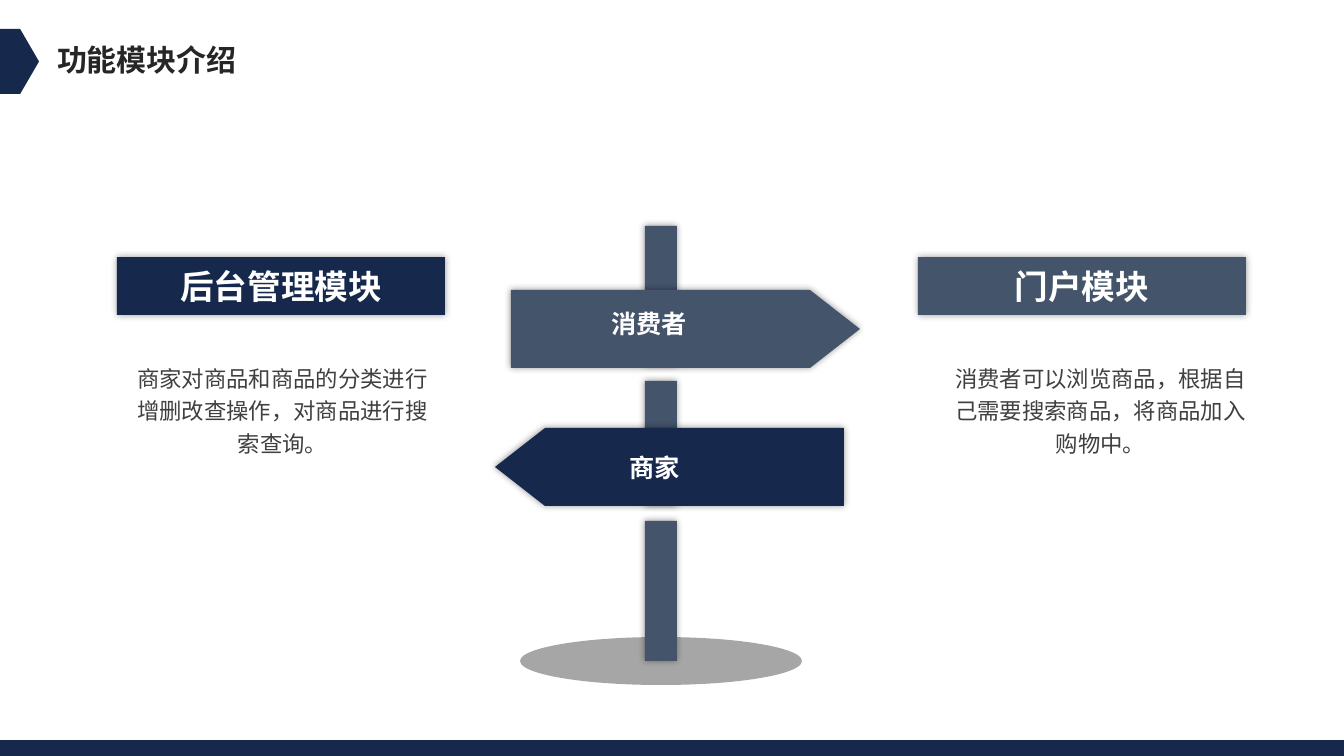
from lxml import etree
from pptx import Presentation
from pptx.dml.color import RGBColor
from pptx.enum import shapes, text
from pptx.oxml import ns
from pptx.util import Pt

PX = 9071  # EMU in one px, 100.8 px to the inch
FONT = "Noto Sans CJK SC"
NAVY, SLATE, WHITE = "16294C", "44546A", "FFFFFF"
RECT = shapes.MSO_SHAPE.RECTANGLE


def paint(shape, color, shadow=False):
    """Fill a shape without outline, optionally with a soft dark halo."""
    shape.fill.solid()
    shape.fill.fore_color.rgb = RGBColor.from_string(color)
    shape.line.fill.background()
    shape.shadow.inherit = False
    if shadow:
        effects = shape._element.spPr.find(ns.qn("a:effectLst"))
        halo = etree.SubElement(effects, ns.qn("a:outerShdw"),
                                blurRad=str(Pt(5)), dist="0", dir="0",
                                algn="ctr", rotWithShape="0")
        tint = etree.SubElement(halo, ns.qn("a:srgbClr"), val="000000")
        etree.SubElement(tint, ns.qn("a:alpha"), val="40000")


def write(shape, words, size, color, bold=True, align=text.PP_ALIGN.CENTER):
    """Set a shape's text as one formatted paragraph and return it."""
    frame = shape.text_frame
    frame.word_wrap = True
    frame.text = words
    para = frame.paragraphs[0]
    para.alignment = align
    span = para.runs[0]
    span.font.size = Pt(size)
    span.font.bold = bold
    span.font.color.rgb = RGBColor.from_string(color)
    span.font.name = FONT
    etree.SubElement(span._r.get_or_add_rPr(), ns.qn("a:ea"), typeface=FONT)
    return para


deck = Presentation()
deck.slide_width, deck.slide_height = 1344 * PX, 756 * PX
page = deck.slides.add_slide(deck.slide_layouts[5])

# Heading and page edges
title = page.shapes.title
title.left, title.top, title.width, title.height = (n * PX for n in (47, 36, 202, 46))
write(title, "功能模块介绍", 21.4, "262626", align=text.PP_ALIGN.LEFT)
title.text_frame.word_wrap = False
title.text_frame.auto_size = text.MSO_AUTO_SIZE.NONE
title.text_frame.vertical_anchor = text.MSO_ANCHOR.TOP

marker = page.shapes.add_shape(shapes.MSO_SHAPE.PENTAGON, 0, 29 * PX, 39 * PX, 65 * PX)
marker.adjustments[0] = 0.484
paint(marker, NAVY)
footer = page.shapes.add_shape(RECT, 0, 740 * PX, 1344 * PX, 16 * PX)
paint(footer, NAVY)

# Signpost: base, post pieces, then the two signs
signpost = page.shapes.add_group_shape().shapes
base = signpost.add_shape(shapes.MSO_SHAPE.OVAL, 520 * PX, 637 * PX, 282 * PX, 48 * PX)
paint(base, "A6A6A6")
for top, height in ((226, 140), (381, 125), (521, 140)):
    post = signpost.add_shape(RECT, 645 * PX, top * PX, 32 * PX, height * PX)
    paint(post, SLATE, shadow=True)

signs = (
    ("商家", NAVY, 495, 467, -1, (548, 447, 214, 40)),
    ("消费者", SLATE, 860, 329, 1, (540, 303, 218, 40)),
)
for words, color, tip, middle, direction, label_at in signs:
    shoulder, end = tip - 50 * direction, tip - 349 * direction
    top, bottom = middle - 39, middle + 39
    outline = signpost.build_freeform(tip, middle, scale=PX)
    outline.add_line_segments(
        [(shoulder, top), (end, top), (end, bottom), (shoulder, bottom)], close=True)
    paint(outline.convert_to_shape(), color, shadow=True)
    label = signpost.add_textbox(*(n * PX for n in label_at))
    write(label, words, 18, WHITE)

# Module headings and descriptions
modules = (
    ("后台管理模块", NAVY, 117, 122,
     "商家对商品和商品的分类进行增删改查操作，对商品进行搜索查询。"),
    ("门户模块", SLATE, 918, 940,
     "消费者可以浏览商品，根据自己需要搜索商品，将商品加入购物中。"),
)
for name, color, heading_left, body_left, description in modules:
    heading = page.shapes.add_shape(RECT, heading_left * PX, 257 * PX, 328 * PX, 58 * PX)
    paint(heading, color, shadow=True)
    write(heading, name, 24, WHITE)
    heading.text_frame.vertical_anchor = text.MSO_ANCHOR.MIDDLE
    body = page.shapes.add_textbox(body_left * PX, 355 * PX, 321 * PX, 105 * PX)
    write(body, description, 16, "404040", bold=False).line_spacing = 1.2

deck.save("out.pptx")
